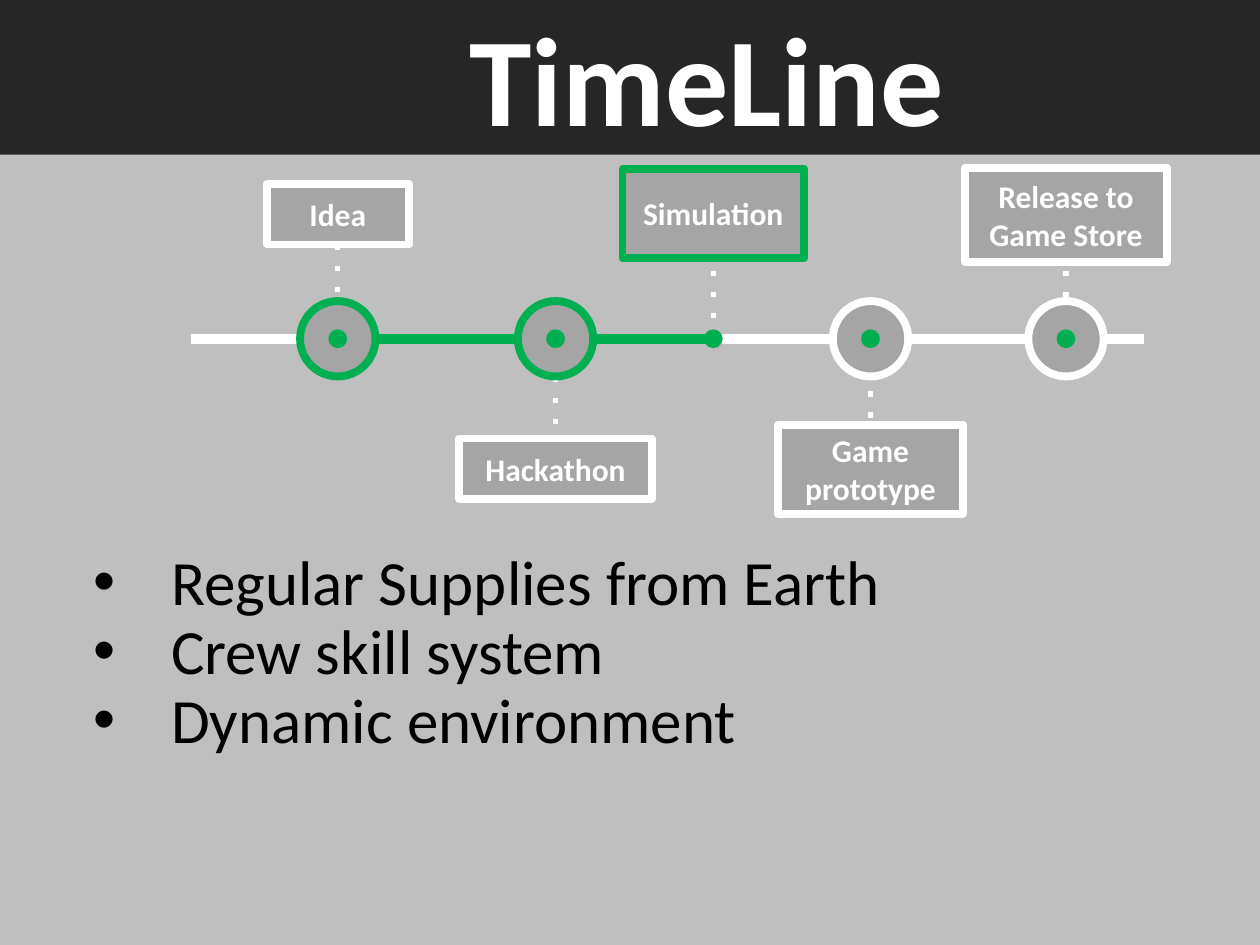
from dataclasses import dataclass
from typing import Optional

from lxml.etree import SubElement
from pptx import Presentation
from pptx.dml.color import RGBColor
from pptx.enum.shapes import MSO_CONNECTOR as Link, MSO_SHAPE as Kind
from pptx.enum.text import MSO_ANCHOR as Anchor, PP_ALIGN as Align
from pptx.oxml.ns import qn
from pptx.util import Cm, Pt

WHITE, GREEN, GREY, BLACK = "FFFFFF", "00B050", "A5A5A5", "000000"
AXIS, RING, DOT = 6.83, 1.52, 0.38


@dataclass
class Stop:
    """One milestone: its label box, dotted stem and ring, in centimetres."""
    name: str
    x: float
    top: float
    width: float
    height: float
    stem: tuple[float, float]
    site: Optional[int] = None
    edge: str = WHITE
    ring: Optional[str] = WHITE


STOPS = [
    Stop("Idea", 6.81, 3.71, 2.87, 1.22, (4.93, 6.07), site=2, ring=GREEN),
    Stop("Hackathon", 11.2, 8.84, 3.89, 1.22, (7.59, 8.84), site=0, ring=GREEN),
    Stop("Simulation", 14.38, 3.4, 3.66, 1.8, (5.03, 6.83), edge=GREEN, ring=None),
    Stop("Game prototype", 17.55, 8.56, 3.73, 1.8, (7.04, 8.56), site=0),
    Stop("Release to Game Store", 21.49, 3.38, 4.06, 1.9, (5.03, 6.07)),
]
POINTS = ["Regular Supplies from Earth", "Crew skill system", "Dynamic environment"]


def paint(target, code: str) -> None:
    """Give a fill a solid hex colour."""
    target.solid()
    target.fore_color.rgb = RGBColor.from_string(code)


def write(shape, text: str, size: int, code: str, bold: bool = False):
    """Add one run to a shape's first paragraph and return the paragraph."""
    shape.text_frame.word_wrap = True
    para = shape.text_frame.paragraphs[0]
    run = para.add_run()
    run.text = text
    font = run.font
    font.name, font.size, font.bold = "Calibri", Pt(size), bold
    font.color.rgb = RGBColor.from_string(code)
    return para


def center(shape, para) -> None:
    """Center text both ways."""
    shape.text_frame.vertical_anchor = Anchor.MIDDLE
    para.alignment = Align.CENTER


def block(slide, kind, x: float, y: float, width: float, height: float,
          fill: str, edge: Optional[str] = None):
    """Draw a flat shape with an optional outline."""
    shape = slide.shapes.add_shape(kind, Cm(x), Cm(y), Cm(width), Cm(height))
    shape.shadow.inherit = False
    paint(shape.fill, fill)
    if edge:
        paint(shape.line.fill, edge)
        shape.line.width = Pt(4.5)
    else:
        shape.line.fill.background()
    return shape


def disc(slide, x: float, size: float, fill: str, edge: Optional[str] = None) -> None:
    """Draw a circle centred on the axis."""
    block(slide, Kind.OVAL, x - size / 2, AXIS - size / 2, size, size, fill, edge)


def rule(slide, start: tuple[float, float], end: tuple[float, float],
         code: str, weight: float, dotted: bool = False):
    """Draw a straight line without a shadow."""
    line = slide.shapes.add_connector(Link.STRAIGHT, *map(Cm, start + end))
    paint(line.line.fill, code)
    line.line.width = Pt(weight)
    props = line._element.spPr
    if dotted:
        SubElement(props.find(qn("a:ln")), qn("a:prstDash"), val="dot")
    SubElement(props, qn("a:effectLst"))
    return line


def draw_stop(slide, stop: Stop) -> None:
    """Draw a milestone and join its stem to its box."""
    first, last = stop.stem
    stem = rule(slide, (stop.x, first), (stop.x, last), WHITE, 3, dotted=True)
    box = block(slide, Kind.RECTANGLE, stop.x - stop.width / 2, stop.top,
                stop.width, stop.height, GREY, stop.edge)
    center(box, write(box, stop.name, 18, WHITE, bold=True))
    if stop.site == 2:
        stem.begin_connect(box, 2)
    elif stop.site == 0:
        stem.end_connect(box, 0)
    if stop.ring:
        disc(slide, stop.x, RING, GREY, stop.ring)
    disc(slide, stop.x, DOT, GREEN)


def draw_point(slide, text: str, top: float) -> None:
    """Add one bulleted line."""
    box = slide.shapes.add_textbox(Cm(1.63), Cm(top), Cm(23.11), Cm(1.8))
    props = write(box, text, 36, BLACK)._p.get_or_add_pPr()
    props.set("marL", str(Cm(1.57)))
    props.set("indent", str(-Cm(1.57)))
    SubElement(SubElement(props, qn("a:buClr")), qn("a:srgbClr"), val=BLACK)
    SubElement(props, qn("a:buFont"), typeface="Arial")
    SubElement(props, qn("a:buChar"), char="•")


def main() -> None:
    """Build and save the slide."""
    deck = Presentation()
    deck.slide_width, deck.slide_height = Cm(25.4), Cm(19.05)
    slide = deck.slides.add_slide(deck.slide_layouts[6])
    paint(slide.background.fill, "BFBFBF")

    block(slide, Kind.RECTANGLE, 0, 0, 25.4, 3.12, "262626")
    title = slide.shapes.add_textbox(Cm(3.1), Cm(0), Cm(22.3), Cm(3.07))
    center(title, write(title, "TimeLine", 72, WHITE, bold=True))

    rule(slide, (3.86, AXIS), (23.06, AXIS), WHITE, 6)
    rule(slide, (7.57, AXIS), (14.38, AXIS), GREEN, 6)
    for stop in STOPS:
        draw_stop(slide, stop)
    for row, text in enumerate(POINTS):
        draw_point(slide, text, 10.82 + 1.39 * row)

    deck.save("out.pptx")


if __name__ == "__main__":
    main()
